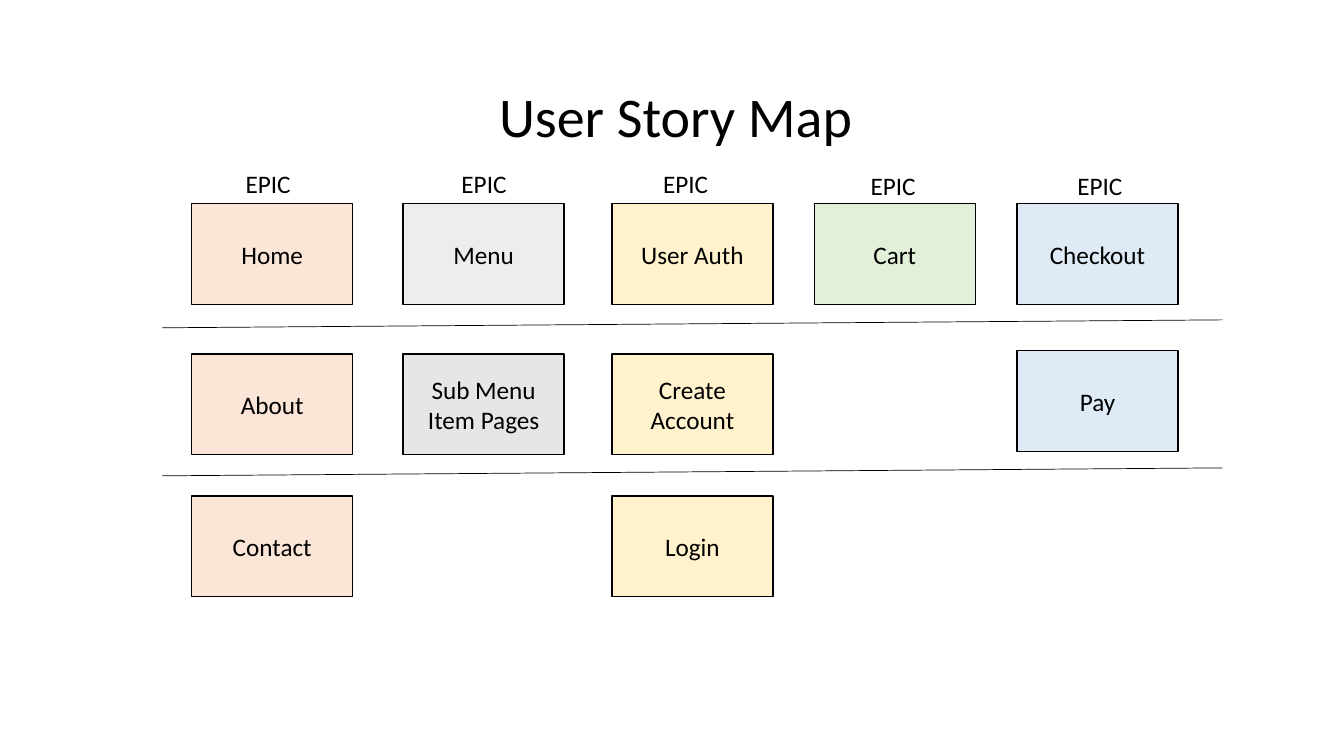
from lxml.etree import SubElement
from pptx import Presentation
from pptx.dml.color import RGBColor
from pptx.enum.shapes import MSO_CONNECTOR as Connector, MSO_SHAPE as Shape
from pptx.enum.text import MSO_ANCHOR as Anchor, PP_ALIGN as Align
from pptx.oxml.ns import qn
from pptx.util import Cm, Pt

BLACK = RGBColor(0x00, 0x00, 0x00)
PEACH = RGBColor(0xFB, 0xE5, 0xD6)
LIGHT_GRAY = RGBColor(0xED, 0xED, 0xED)
GRAY = RGBColor(0xE7, 0xE6, 0xE6)
YELLOW = RGBColor(0xFF, 0xF2, 0xCC)
GREEN = RGBColor(0xE2, 0xF0, 0xD9)
BLUE = RGBColor(0xDE, 0xEB, 0xF7)

CARD_WIDTH, CARD_HEIGHT = 4.06, 2.54
EPIC_TOP = 5.13

# Card left, label left, label top, epic, epic colour, story colour,
# and the stories with their tops (all lengths in cm)
EPICS = [
    (4.83, 5.94, 4.11, "Home", PEACH, PEACH, [("About", 8.92), ("Contact", 12.5)]),
    (10.16, 11.38, 4.11, "Menu", LIGHT_GRAY, GRAY, [("Sub Menu Item Pages", 8.92)]),
    (15.42, 16.46, 4.11, "User Auth", YELLOW, YELLOW,
     [("Create Account", 8.92), ("Login", 12.5)]),
    (20.52, 21.69, 4.17, "Cart", GREEN, GREEN, []),
    (25.63, 26.9, 4.17, "Checkout", BLUE, BLUE, [("Pay", 8.84)]),
]


def write(shape, text, size, align):
    para = shape.text_frame.paragraphs[0]
    para.text = text
    para.alignment = align
    para.font.name = "Calibri"
    para.font.size = Pt(size)
    para.font.color.rgb = BLACK
    return para


def add_title(slide, text):
    box = slide.shapes.add_textbox(Cm(1.24), Cm(2.02), Cm(31.57), Cm(2))
    box.text_frame.word_wrap = True
    box.text_frame.vertical_anchor = Anchor.MIDDLE
    write(box, text, 40, Align.CENTER).line_spacing = 0.9


def add_label(slide, text, left, top):
    box = slide.shapes.add_textbox(Cm(left), Cm(top), Cm(1.65), Cm(1.02))
    box.text_frame.word_wrap = False
    write(box, text, 18, Align.LEFT)


def add_card(slide, text, left, top, color):
    card = slide.shapes.add_shape(
        Shape.RECTANGLE, Cm(left), Cm(top), Cm(CARD_WIDTH), Cm(CARD_HEIGHT))
    card.shadow.inherit = False
    card.fill.solid()
    card.fill.fore_color.rgb = color
    card.line.color.rgb = BLACK
    card.line.width = Pt(1)
    card.text_frame.word_wrap = True
    card.text_frame.vertical_anchor = Anchor.MIDDLE
    write(card, text, 18, Align.CENTER)


def add_divider(slide, start_y):
    """Draw a row divider that rises slightly to the right."""
    line = slide.shapes.add_connector(
        Connector.STRAIGHT, Cm(4.09), Cm(start_y), Cm(30.81), Cm(start_y - 0.2))
    line.line.color.rgb = BLACK
    line.line.width = Pt(0.5)
    SubElement(line.element.spPr, qn("a:effectLst"))


def main():
    deck = Presentation()
    deck.slide_width, deck.slide_height = Cm(33.87), Cm(19.05)
    slide = deck.slides.add_slide(deck.slide_layouts[6])

    add_title(slide, "User Story Map")
    for left, label_left, label_top, epic, epic_color, story_color, stories in EPICS:
        add_label(slide, "EPIC", label_left, label_top)
        add_card(slide, epic, left, EPIC_TOP, epic_color)
        for story, top in stories:
            add_card(slide, story, left, top, story_color)
    for start_y in (8.26, 11.99):
        add_divider(slide, start_y)

    deck.save("out.pptx")


if __name__ == "__main__":
    main()
